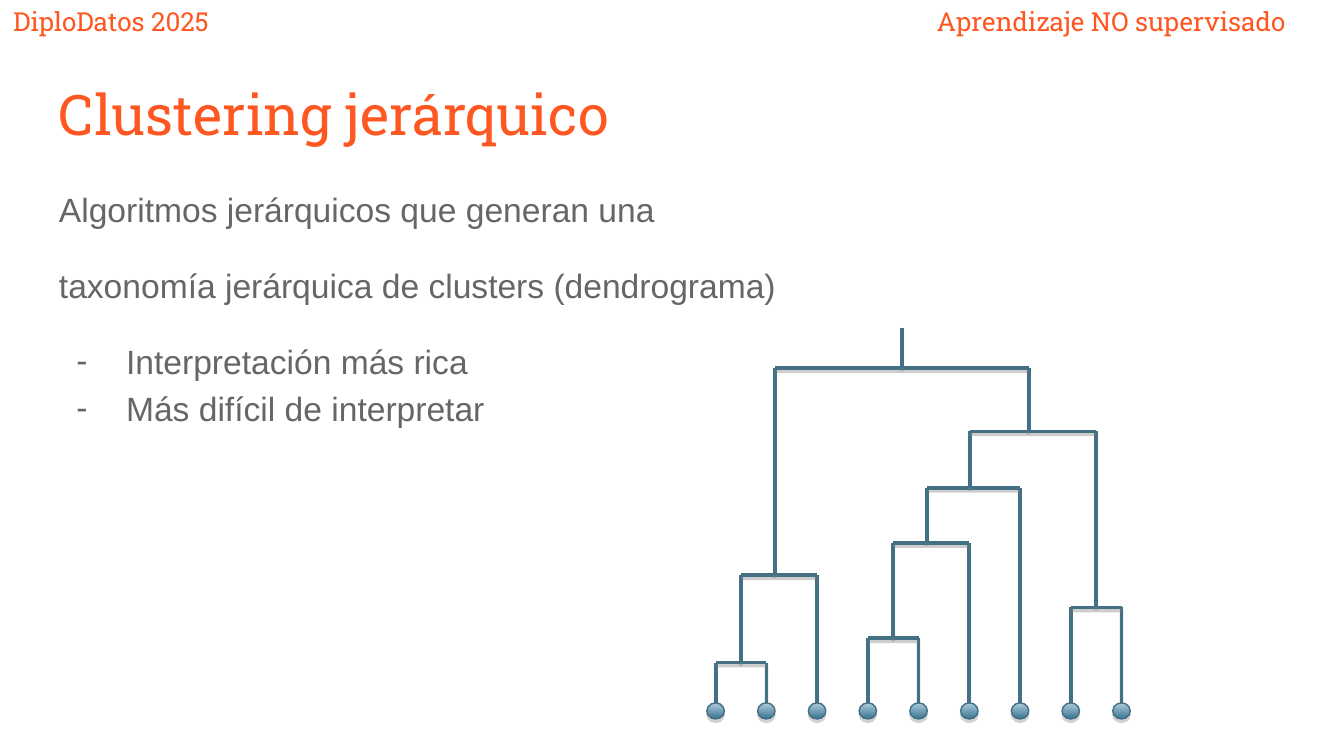
from lxml.etree import SubElement
from pptx import Presentation
from pptx.dml.color import RGBColor
from pptx.enum.shapes import MSO_CONNECTOR, MSO_SHAPE
from pptx.oxml.ns import qn
from pptx.util import Inches, Pt

ORANGE = RGBColor(0xFF, 0x57, 0x22)
GRAY = RGBColor(0x66, 0x66, 0x66)
BRANCH = RGBColor(0x43, 0x70, 0x85)
LEAF_LINE = RGBColor(0x40, 0x6E, 0x84)
LEAF_TOP = RGBColor(0xAF, 0xCC, 0xDF)
LEAF_BOTTOM = RGBColor(0x39, 0x74, 0x8F)
SHADOW = RGBColor(0x80, 0x80, 0x80)

SLAB = "Roboto Slab"
SANS = "Arial"
BODY = [
    ("Algoritmos jerárquicos que generan una", False, 16),
    ("taxonomía jerárquica de clusters (dendrograma)", False, 16),
    ("Interpretación más rica", True, 16),
    ("Más difícil de interpretar", True, 0),
]

LEFT_TREE = (1.84, 0.03, (2.49, 0, 0, 1), 2)
RIGHT_TREE = (0.77, 0.03,
              (1.19, 0.03, (1.6, 0.03, (2.31, 0, 3, 4), 5), 6),
              (2.08, 0, 7, 8))
TREE = (0.3, 0, LEFT_TREE, RIGHT_TREE)
LEAVES = 9


def add_text(slide, box, paragraphs, font, size, color):
    sp = slide.shapes.add_textbox(*map(Inches, box))
    tf = sp.text_frame
    tf.word_wrap = True
    margins = dict.fromkeys(("left", "top", "right", "bottom"), Inches(0.1))
    for side, value in margins.items():
        setattr(tf, f"margin_{side}", value)
    for i, text in enumerate(paragraphs):
        p = tf.paragraphs[0] if i == 0 else tf.add_paragraph()
        r = p.add_run()
        r.text = text
        for name, value in {"name": font, "size": Pt(size)}.items():
            setattr(r.font, name, value)
        r.font.color.rgb = color
    return tf


def add_bullet(p):
    pPr = p._p.get_or_add_pPr()
    pPr.set("marL", str(Inches(0.5)))
    pPr.set("indent", str(Inches(-0.37)))
    color = SubElement(pPr, qn("a:buClr"))
    SubElement(color, qn("a:srgbClr"), val=str(GRAY))
    SubElement(pPr, qn("a:buFont"), typeface=SANS)
    SubElement(pPr, qn("a:buChar"), char="-")


def add_body(slide, box):
    tf = add_text(slide, box, [text for text, _, _ in BODY], SANS, 18, GRAY)
    for p, (_, bulleted, before) in zip(tf.paragraphs, BODY):
        p.line_spacing = 1.15
        p.space_before = Pt(before)
        if bulleted:
            add_bullet(p)


def add_shadow(sp, distance, opacity):
    effects = SubElement(sp._element.spPr, qn("a:effectLst"))
    outer = SubElement(effects, qn("a:outerShdw"), dist=str(Pt(distance)),
                       dir="5400000", rotWithShape="0")
    color = SubElement(outer, qn("a:srgbClr"), val=str(SHADOW))
    SubElement(color, qn("a:alpha"), val=str(opacity * 1000))


def add_branch(slide, x1, y1, x2, y2):
    s = slide.shapes.add_connector(MSO_CONNECTOR.STRAIGHT,
                                   *map(Inches, (x1, y1, x2, y2)))
    s.line.color.rgb = BRANCH
    s.line.width = Pt(2)
    add_shadow(s, 1.6, 38)


def add_leaf(slide, x, y, width, height):
    sp = slide.shapes.add_shape(MSO_SHAPE.OVAL,
                                *map(Inches, (x, y, width, height)))
    sp.fill.gradient()
    sp.fill.gradient_angle = 270
    for stop, color in zip(sp.fill.gradient_stops, (LEAF_TOP, LEAF_BOTTOM)):
        stop.color.rgb = color
    sp.line.color.rgb = LEAF_LINE
    sp.line.width = Pt(0.75)
    add_shadow(sp, 1.8, 35)


def add_dendrogram(slide, box):
    left, top, width, height = box
    leaf_w, leaf_h = 0.13, 0.12
    step = (width - leaf_w) / (LEAVES - 1)
    leaf_y = top + height - leaf_h

    def add_node(node, parent_y):
        if isinstance(node, int):
            x, y = left + leaf_w / 2 + step * node, leaf_y
        else:
            level, shift, first, second = node
            y = top + level
            x1, x2 = add_node(first, y), add_node(second, y)
            add_branch(slide, x1, y, x2, y)
            x = (x1 + x2) / 2 - shift
        add_branch(slide, x, parent_y, x, y)
        return x

    add_node(TREE, top)
    for i in range(LEAVES):
        add_leaf(slide, left + step * i, leaf_y, leaf_w, leaf_h)


def add_headings(slide, box):
    left, top, width, _ = box
    for text, x, y, w, h, size in [
        ("Aprendizaje NO supervisado", 6.87, -0.06, 3.17, 0.34, 14),
        ("DiploDatos 2025", 0, -0.06, 2.04, 0.34, 14),
        ("Clustering jerárquico", 0.34, 0.49, width - 0.68, 0.63, 30),
    ]:
        add_text(slide, (left + x, top + y, w, h), [text], SLAB, size, ORANGE)


def main():
    prs = Presentation()
    prs.slide_width = Inches(10)
    prs.slide_height = prs.slide_width * 9 // 16
    slide = prs.slides.add_slide(prs.slide_layouts[6])
    add_headings(slide, (0, 0, 10, 1.12))
    add_body(slide, (0.34, 1.26, 9.32, 3.74))
    add_dendrogram(slide, (5.26, 2.44, 3.15, 2.91))
    prs.save("out.pptx")


if __name__ == "__main__":
    main()
